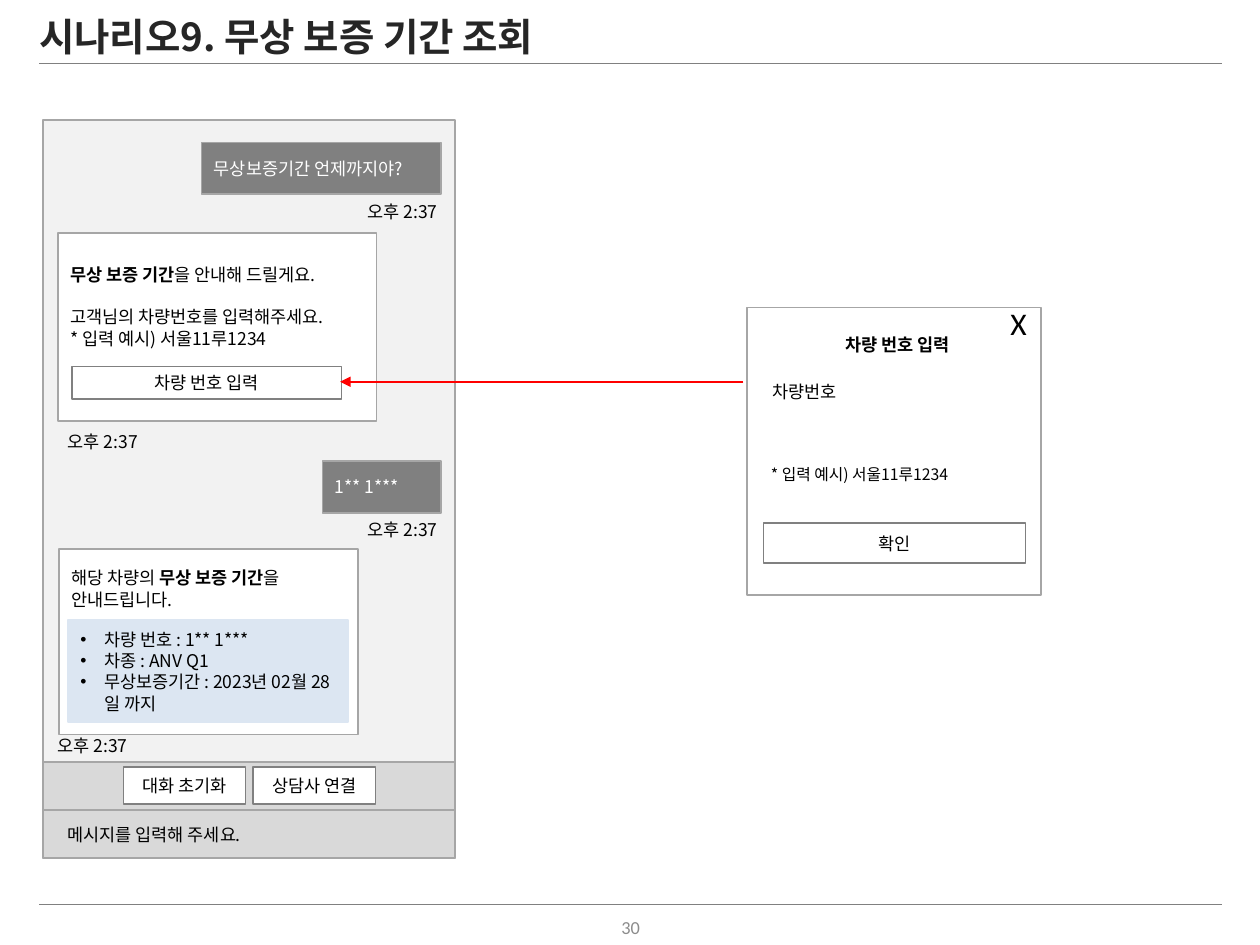
from lxml import etree
from pptx import Presentation
from pptx import util as u
from pptx.dml.color import RGBColor
from pptx.enum import shapes, text
from pptx.oxml import ns

COLORS = {
    "ink": "000000", "title": "262626", "page": "8C8C8C", "white": "FFFFFF",
    "panel": "F2F2F2", "bar": "D9D9D9", "edge": "A6A6A6", "grey": "808080",
    "info": "DCE6F2", "arrow": "FF0000",
}
KOREAN, LATIN = "Noto Sans CJK KR", "Calibri"
ALIGN = {"l": text.PP_ALIGN.LEFT, "c": text.PP_ALIGN.CENTER, "r": text.PP_ALIGN.RIGHT}
LINE_PITCH = 12.2  # points between lines of a multi-line box

# Text between bars is bold.
TITLE = "시나리오9. 무상 보증 기간 조회"
PAGE = "30"
TIME = "오후 2:37"
PLATE_EXAMPLE = "* 입력 예시) 서울11루1234"
PLATE_BUTTON = "차량 번호 입력"
GUIDE = ["|무상 보증 기간|을 안내해 드릴게요.", "고객님의 차량번호를 입력해주세요.", PLATE_EXAMPLE]
ANSWER = ["해당 차량의 |무상 보증 기간|을", "안내드립니다."]
DETAILS = ["차량 번호 : 1** 1***", "차종 : ANV Q1", "무상보증기간 : 2023년 02월 28일 까지"]
CHAT_BUTTONS = ["대화 초기화", "상담사 연결"]
PROMPT = "메시지를 입력해 주세요."

# Question bubbles: text, top, width; all end at the same right edge.
QUESTIONS = [("무상보증기간 언제까지야?", 1.13, 1.9), ("1** 1***", 3.66, 0.94)]
# Times under the answers: left, top.
ANSWER_TIMES = [(0.44, 3.4), (0.36, 5.81)]

MARGIN, RULE_END = 0.31, 9.7
PHONE = (0.34, 0.95, 3.27, 5.86)
BUBBLE_RIGHT, BUBBLE_H = 3.5, 0.41
BAR_H = 0.38
TIME_SIZE = (0.89, 0.21)
DIALOG = (5.93, 2.44, 2.33, 2.28)

prs = Presentation()
prs.slide_width, prs.slide_height = u.Inches(10), u.Inches(7.5)
slide = prs.slides.add_slide(prs.slide_layouts[5])


def rgb(name):
    return RGBColor.from_string(COLORS[name])


def write(shape, paragraphs, size=10, color="ink", font=KOREAN, align="l", bold=False,
          anchor="MIDDLE", top=0.05, pitch=None, gaps=None, bullet=False, wrap=True):
    """Fill a shape with text; gaps maps a paragraph index to points before it."""
    frame = shape.text_frame
    frame.word_wrap = wrap
    frame.auto_size = text.MSO_AUTO_SIZE.NONE
    frame.vertical_anchor = getattr(text.MSO_ANCHOR, anchor)
    frame.margin_top = u.Inches(top)
    for i, line in enumerate([paragraphs] if isinstance(paragraphs, str) else paragraphs):
        para = frame.paragraphs[0] if i == 0 else frame.add_paragraph()
        para.alignment = ALIGN[align]
        para.space_before = u.Pt((gaps or {}).get(i, 0))
        if pitch:
            para.line_spacing = u.Pt(pitch) if pitch > 2 else pitch
        if bullet:
            props = para._p.get_or_add_pPr()
            props.set("marL", str(u.Inches(0.19)))
            props.set("indent", str(-u.Inches(0.19)))
            etree.SubElement(props, ns.qn("a:buFont")).set("typeface", "Arial")
            etree.SubElement(props, ns.qn("a:buChar")).set("char", "•")
        for j, piece in enumerate(line.split("|")):
            if not piece:
                continue
            run = para.add_run()
            run.text = piece
            run.font.size, run.font.name = u.Pt(size), font
            run.font.bold = bold or j % 2 == 1
            run.font.color.rgb = rgb(color)
            east_asian = etree.SubElement(run.font._element, ns.qn("a:ea"))
            east_asian.set("typeface", KOREAN)
    return shape


def box(area, fill=None, line="edge", paragraphs=None, **style):
    shape = slide.shapes.add_shape(shapes.MSO_SHAPE.RECTANGLE, *map(u.Inches, area))
    shape.shadow.inherit = False
    if fill:
        shape.fill.solid()
        shape.fill.fore_color.rgb = rgb(fill)
    else:
        shape.fill.background()
    shape.line.color.rgb = rgb(line)
    shape.line.width = u.Pt(1)
    if paragraphs:
        write(shape, paragraphs, **style)


def label(area, paragraphs, **style):
    write(slide.shapes.add_textbox(*map(u.Inches, area)), paragraphs, **style)


def button(area, caption, **style):
    box(area, "white", "grey", caption, align="c", **style)


def level_line(start, end, y, color, width, arrow=False):
    line = slide.shapes.add_connector(
        shapes.MSO_CONNECTOR.STRAIGHT, *map(u.Inches, (start, y, end, y)))
    line.line.color.rgb = rgb(color)
    line.line.width = u.Pt(width)
    if arrow:
        etree.SubElement(line.line._get_or_add_ln(), ns.qn("a:tailEnd")).set("type", "triangle")
    etree.SubElement(line._element.spPr, ns.qn("a:effectLst"))


def draw_page_frame():
    for y in (0.5, 7.18):
        level_line(MARGIN, RULE_END, y, "grey", 0.25)
    title = slide.shapes.title
    title.left, title.top, title.width, title.height = map(u.Inches, (0.21, 0.09, 9.97, 0.44))
    write(title, TITLE, size=22, color="title", bold=True, pitch=0.9)
    label((3.88, 7.25, 2.25, 0.21), PAGE, size=10.5, color="page", font=LATIN, align="c")


def draw_chat():
    left, top, width, height = PHONE
    bottom = top + height
    box(PHONE, "panel")
    for row in (1, 2):
        box((left, bottom - row * BAR_H, width, BAR_H), "bar")
    label((0.44, 6.49, 1.64, 0.27), PROMPT, wrap=False)
    for column, caption in enumerate(CHAT_BUTTONS):
        button((0.98 + column * 1.03, 6.09, 0.97, 0.29), caption, font=LATIN)

    for question, y, bubble_w in QUESTIONS:
        box((BUBBLE_RIGHT - bubble_w, y, bubble_w, BUBBLE_H), "grey", "edge",
            question, color="white")
        label((2.68, y + BUBBLE_H + 0.03, *TIME_SIZE), TIME, align="r")
    for place in ANSWER_TIMES:
        label((*place, *TIME_SIZE), TIME)

    box((0.46, 1.85, 2.53, 1.49), "white", "edge", GUIDE, anchor="TOP", top=0.24,
        pitch=LINE_PITCH, gaps={1: LINE_PITCH})
    button((0.57, 2.91, 2.14, 0.26), PLATE_BUTTON)
    box((0.47, 4.36, 2.37, 1.47), "white", "edge", ANSWER, anchor="TOP", top=0.14,
        pitch=LINE_PITCH)
    box((0.54, 4.92, 2.22, 0.81), "info", "info", DETAILS, pitch=LINE_PITCH, bullet=True)


def draw_plate_dialog():
    box(DIALOG)
    label((6.61, 2.6, 1.14, 0.27), PLATE_BUTTON, bold=True, wrap=False)
    label((6.03, 2.97, 0.73, 0.27), "차량번호", wrap=False)
    label((7.92, 2.36, 0.54, 0.48), "X", size=18, font=LATIN, anchor="TOP")
    button((6.06, 4.15, 2.08, 0.32), "확인")
    label((6.02, 3.64, 1.92, 0.25), PLATE_EXAMPLE, size=9)
    level_line(5.9, 2.7, 3.03, "arrow", 1.25, arrow=True)


draw_page_frame()
draw_chat()
draw_plate_dialog()
prs.save("out.pptx")
